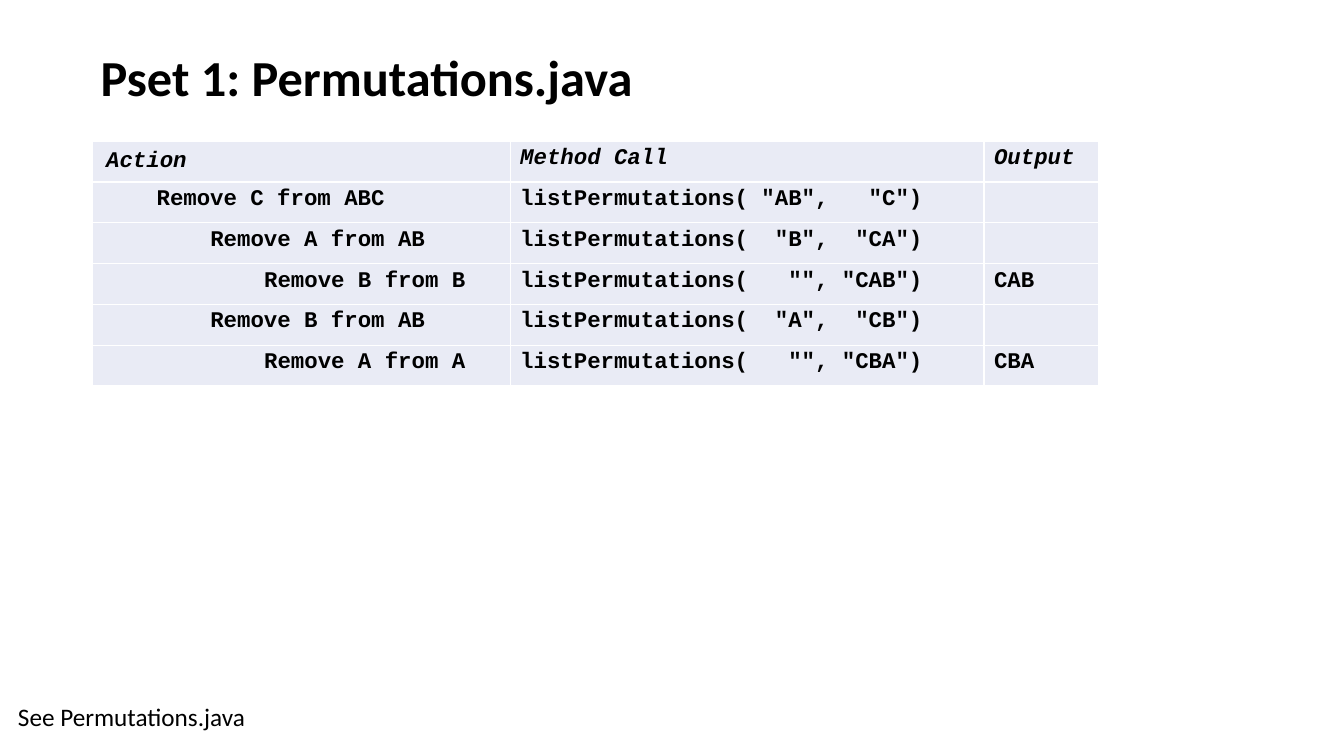
from lxml.etree import SubElement
from pptx import Presentation
from pptx.dml.color import RGBColor
from pptx.enum.text import MSO_ANCHOR as Anchor
from pptx.oxml.ns import qn
from pptx.util import Inches, Pt

BLACK = RGBColor(0x00, 0x00, 0x00)
WHITE = RGBColor(0xFF, 0xFF, 0xFF)
PALE_BLUE = RGBColor(0xE9, 0xEB, 0xF5)

TEXT_FONT, CODE_FONT = "Calibri", "Courier New"
CODE_SIZE = 16
CHARACTER_WIDTH = 0.6 * CODE_SIZE / 72
INDENT_CHARACTERS = 4

COLUMN_WIDTHS = (4.14, 4.7, 1.14)
ROW_HEIGHT = 2.43 / 6
HEADINGS = ("Action", "Method Call", "Output")

# depth, letter removed, from, remaining letters, prefix, output
STEPS = (
    (1, "C", "ABC", "AB", "C", ""),
    (2, "A", "AB", "B", "CA", ""),
    (3, "B", "B", "", "CAB", "CAB"),
    (2, "B", "AB", "A", "CB", ""),
    (3, "A", "A", "", "CBA", "CBA"),
)


def add_run(paragraph, text, font, size, bold=False, italic=False):
    run = paragraph.add_run()
    run.text = text
    run.font.name = font
    run.font.size = Pt(size)
    run.font.bold = bold
    run.font.italic = italic
    run.font.color.rgb = BLACK


def add_label(slide, box, text, size, bold=False, wrap=True, anchor=Anchor.TOP):
    frame = slide.shapes.add_textbox(*map(Inches, box)).text_frame
    frame.word_wrap = wrap
    frame.vertical_anchor = anchor
    paragraph = frame.paragraphs[0]
    add_run(paragraph, text, TEXT_FONT, size, bold)
    return paragraph


def add_borders(cell):
    """Draw thin white lines on all four sides, ahead of the cell's fill."""
    properties = cell._tc.get_or_add_tcPr()
    for position, side in enumerate(("lnL", "lnR", "lnT", "lnB")):
        line = SubElement(properties, qn(f"a:{side}"), w=str(Pt(1)))
        fill = SubElement(line, qn("a:solidFill"))
        SubElement(fill, qn("a:srgbClr"), val=str(WHITE))
        properties.insert(position, line)


def fill_cell(cell, text, indent=0, italic=False):
    cell.fill.solid()
    cell.fill.fore_color.rgb = PALE_BLUE
    add_borders(cell)
    paragraph = cell.text_frame.paragraphs[0]
    paragraph.font.size = Pt(CODE_SIZE)
    if indent:
        margin = Inches(indent * CHARACTER_WIDTH)
        paragraph._p.get_or_add_pPr().set("marL", str(margin))
    if text:
        add_run(paragraph, text, CODE_FONT, CODE_SIZE, True, italic)


def method_call(remaining, prefix):
    """Pad both quoted arguments so that they line up from row to row."""
    first, second = f'"{remaining}"', f'"{prefix}"'
    return f"listPermutations({first:>5}, {second:>5})"


def add_trace_table(slide, left, top):
    rows = len(STEPS) + 1
    table = slide.shapes.add_table(
        rows, len(COLUMN_WIDTHS), Inches(left), Inches(top),
        Inches(sum(COLUMN_WIDTHS)), Inches(rows * ROW_HEIGHT)).table
    table.first_row = table.horz_banding = False
    for column, width in zip(table.columns, COLUMN_WIDTHS):
        column.width = Inches(width)
    for row in table.rows:
        row.height = Inches(ROW_HEIGHT)

    for column, heading in enumerate(HEADINGS):
        fill_cell(table.cell(0, column), heading, italic=True)
    action = table.cell(0, 0)
    action.vertical_anchor = Anchor.MIDDLE
    action.margin_left = Inches(CHARACTER_WIDTH)
    action.margin_top = action.margin_right = action.margin_bottom = 0

    for row, (depth, letter, word, remaining, prefix, output) in enumerate(STEPS, 1):
        fill_cell(table.cell(row, 0), f"Remove {letter} from {word}",
                  indent=depth * INDENT_CHARACTERS)
        fill_cell(table.cell(row, 1), method_call(remaining, prefix))
        fill_cell(table.cell(row, 2), output)


def main():
    presentation = Presentation()
    presentation.slide_width = Inches(13.33)
    presentation.slide_height = Inches(7.5)
    slide = presentation.slides.add_slide(presentation.slide_layouts[6])
    title = add_label(slide, (0.9, 0.4, 11.5, 0.8), "Pset 1: Permutations.java",
                      36, bold=True, anchor=Anchor.MIDDLE)
    title.line_spacing = 0.9
    add_trace_table(slide, 0.92, 1.4)
    add_label(slide, (0.08, 6.91, 2.48, 0.4), "See Permutations.java", 18, wrap=False)
    presentation.save("out.pptx")


if __name__ == "__main__":
    main()
